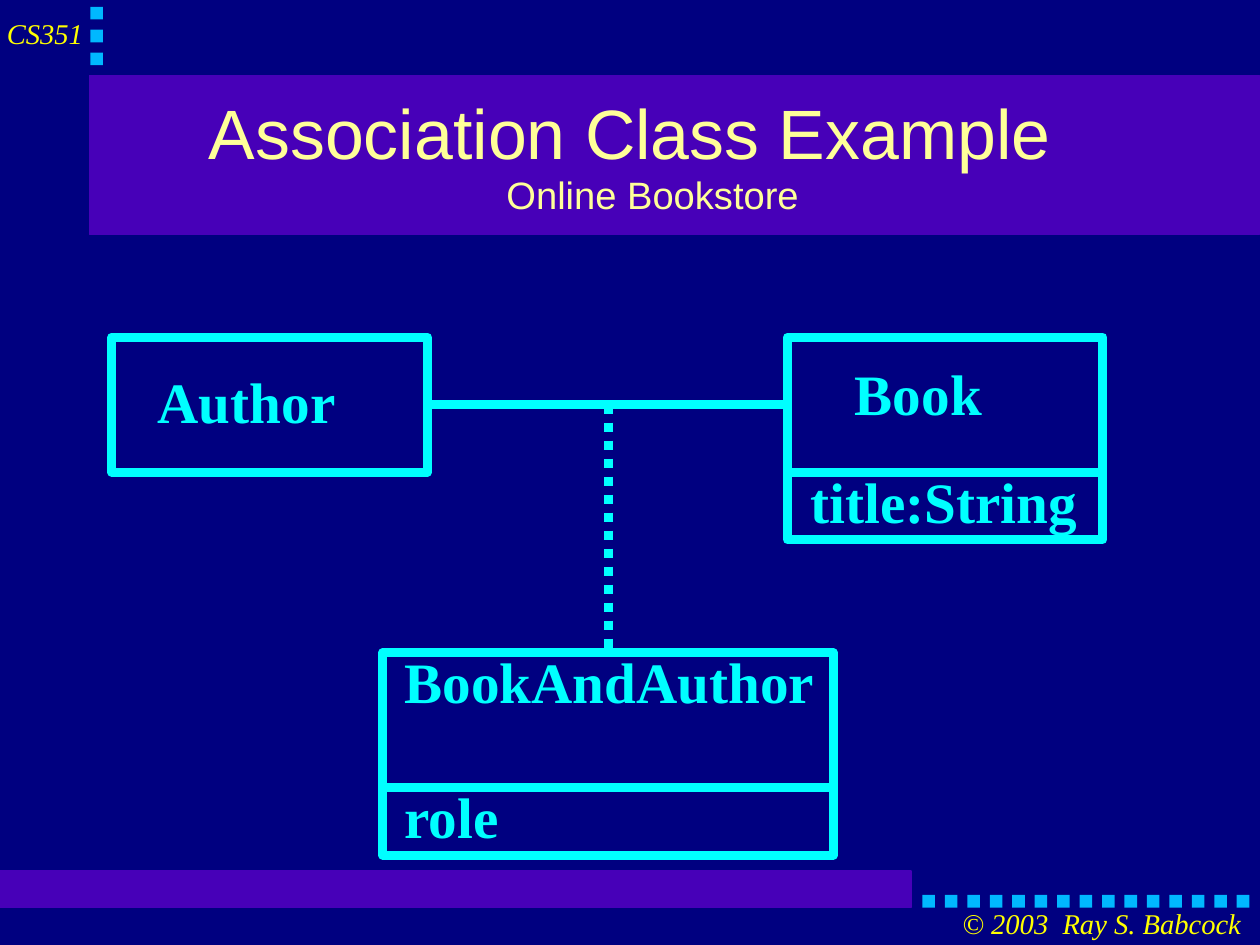
from lxml import etree
from pptx import Presentation
from pptx.dml.color import RGBColor
from pptx.enum.dml import MSO_LINE
from pptx.enum.shapes import MSO_CONNECTOR, MSO_SHAPE
from pptx.enum.text import MSO_ANCHOR, MSO_AUTO_SIZE, PP_ALIGN
from pptx.oxml.ns import qn
from pptx.util import Inches, Pt

ROUND = MSO_SHAPE.ROUNDED_RECTANGLE
STRAIGHT = MSO_CONNECTOR.STRAIGHT
DOTS = MSO_LINE.ROUND_DOT
MIDDLE = MSO_ANCHOR.MIDDLE
TOP = MSO_ANCHOR.TOP
CENTER = PP_ALIGN.CENTER
LEFT = PP_ALIGN.LEFT
FIXED = MSO_AUTO_SIZE.NONE

NAVY, PURPLE, BLUE = "000080", "4700B8", "00B8FF"
CYAN, YELLOW, CREAM = "00FFFF", "FFFF00", "FFFF99"
SERIF, SANS = "Times New Roman", "Arial"
THICK = 5.67
CM = 1 / 2.54


def paint(target, color):
    target.solid()
    target.fore_color.rgb = RGBColor.from_string(color)


def add_box(slide, left, top, width, height, fill=None, line=None, weight=0.75):
    box = slide.shapes.add_shape(
        ROUND, Inches(left), Inches(top), Inches(width), Inches(height))
    box.adjustments[0] = 0
    box.shadow.inherit = False
    if fill:
        paint(box.fill, fill)
    else:
        box.fill.background()
    if line:
        paint(box.line.fill, line)
        box.line.width = Pt(weight)
    else:
        box.line.fill.background()
    return box


def add_frame(slide, left, top, width, height):
    return add_box(slide, left, top, width, height, line=CYAN, weight=THICK)


def add_link(slide, start, end, dash=None):
    link = slide.shapes.add_connector(
        STRAIGHT, *[Inches(value) for value in start + end])
    etree.SubElement(link.element.spPr, qn("a:effectLst"))
    paint(link.line.fill, CYAN)
    link.line.width = Pt(THICK)
    if dash:
        link.line.dash_style = dash
    return link


def style_run(run, size, font, color, bold=False, italic=False):
    run.font.size = Pt(size)
    run.font.name = font
    run.font.bold = bold
    run.font.italic = italic
    paint(run.font.fill, color)


def set_frame(frame, anchor=TOP, align=LEFT):
    frame.margin_left = frame.margin_right = 0
    frame.margin_top = frame.margin_bottom = 0
    frame.word_wrap = True
    frame.auto_size = FIXED
    frame.vertical_anchor = anchor
    para = frame.paragraphs[0]
    para.alignment = align
    para.line_spacing = 0.93
    return para


def add_text(slide, text, left, top, width, height, **style):
    box = slide.shapes.add_textbox(
        Inches(left), Inches(top), Inches(width), Inches(height))
    run = set_frame(box.text_frame).add_run()
    run.text = text
    style_run(run, **style)


def add_label(slide, text, left, top, width):
    add_text(slide, text, left, top, width, 0.56,
             size=36, font=SERIF, color=CYAN, bold=True)


def set_title(slide, main_line, sub_line):
    title = slide.shapes.title
    title.left, title.top = Inches(0.81), Inches(0.69)
    title.width, title.height = Inches(9.41), Inches(1.38)
    para = set_frame(title.text_frame, MIDDLE, CENTER)
    props = para._p.get_or_add_pPr()
    props.set("marL", str(Inches(0.39)))
    props.set("indent", str(-Inches(0.39)))
    head = para.add_run()
    head.text = main_line
    style_run(head, 44, SANS, CREAM)
    para.add_line_break()
    sub = para.add_run()
    sub.text = sub_line
    style_run(sub, 24, SANS, CREAM)
    title.element.getparent().append(title.element)


def add_trim(slide):
    add_box(slide, 0.78, 0.66, 10.24, 1.39, PURPLE, PURPLE)
    add_box(slide, 0, 7.62, 7.97, 0.32, PURPLE, PURPLE)
    for row in range(3):
        add_box(slide, 0.79, 0.06 + 0.2 * row, 0.11, 0.11, BLUE)
    for col in range(15):
        add_box(slide, 8.07 + 2.75 * col / 14, 7.83, 0.11, 0.11, BLUE)
    note = dict(size=18, font=SERIF, color=YELLOW, italic=True)
    add_text(slide, "CS351", 0.06, 0.17, 0.73, 0.28, **note)
    add_text(slide, "© 2003  Ray S. Babcock", 8.42, 7.95, 2.5, 0.28, **note)


def add_diagram(slide):
    author = add_frame(slide, 0.98, 2.95, 2.76, 1.18)
    book = add_frame(slide, 6.89, 2.95, 2.76, 1.18)
    joint = add_frame(slide, 3.35, 5.71, 3.94, 1.18)

    link = add_link(slide, (3.74, 3.54), (6.89, 3.54))
    link.begin_connect(author, 3)
    link.end_connect(book, 1)

    add_label(slide, "Author", 1.38, 3.26, 1.97)
    add_label(slide, "Book", 7.48, 3.19, 2.76)
    add_label(slide, "BookAndAuthor", 3.54, 5.71, 4.13)

    branch = add_link(slide, (5.32, 3.54), (5.32, 5.71), DOTS)
    branch.end_connect(joint, 0)

    add_frame(slide, 6.89, 4.13, 2.76, 0.59)
    add_label(slide, "title:String", 7.09, 4.13, 2.36)
    add_frame(slide, 3.35, 6.89, 3.94, 0.59)
    add_label(slide, "role", 3.54, 6.89, 2.36)


def main():
    deck = Presentation()
    deck.slide_width, deck.slide_height = Inches(28 * CM), Inches(21 * CM)
    slide = deck.slides.add_slide(deck.slide_layouts[5])
    paint(slide.background.fill, NAVY)
    add_trim(slide)
    set_title(slide, "Association Class Example", "Online Bookstore")
    add_diagram(slide)
    deck.save("out.pptx")


if __name__ == "__main__":
    main()
